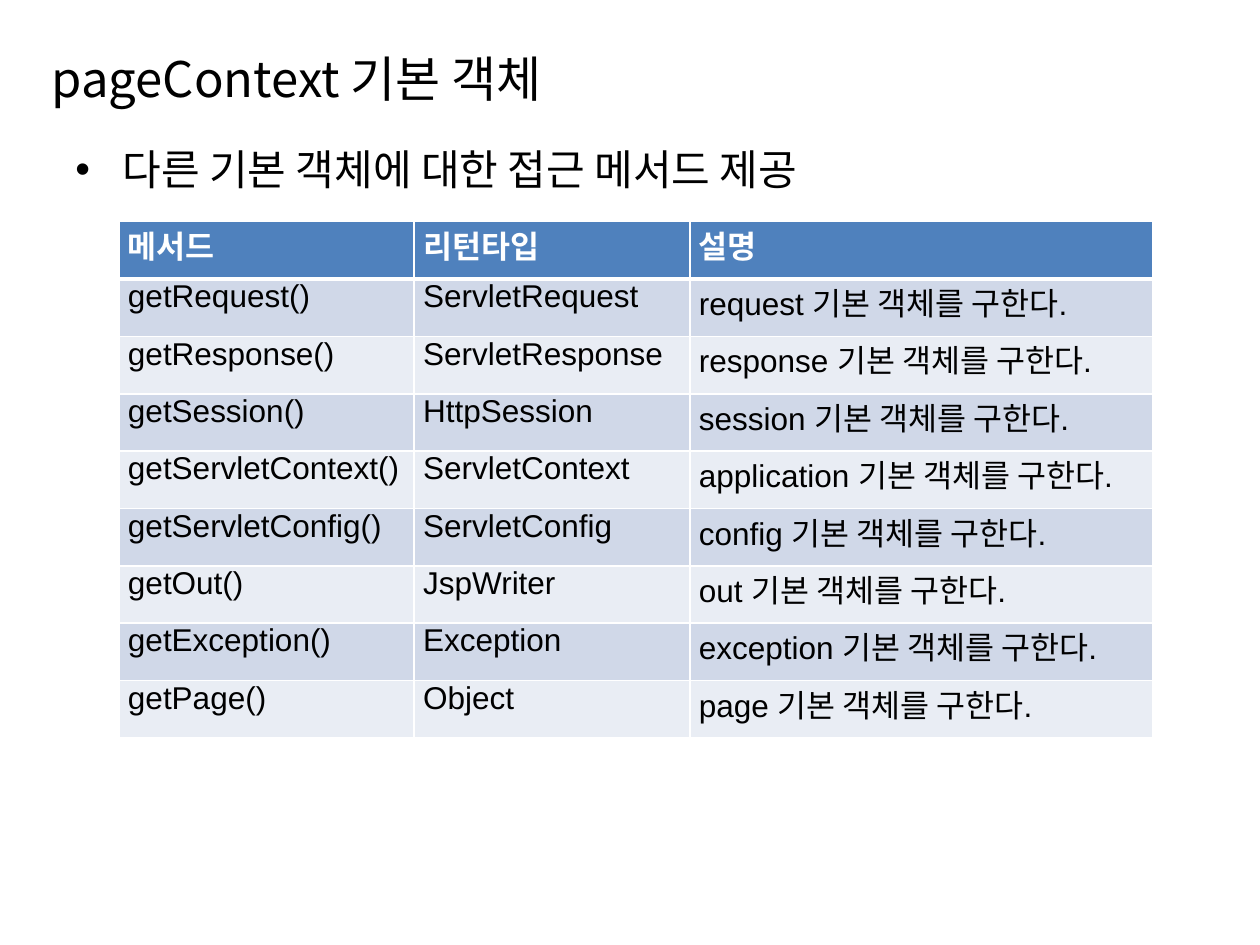
import pptx
import pptx.dml.color
import pptx.enum.text
import pptx.oxml
import pptx.oxml.ns
import pptx.util
from lxml import etree

Cm = pptx.util.Cm
Pt = pptx.util.Pt
Align = pptx.enum.text.PP_ALIGN
Anchor = pptx.enum.text.MSO_ANCHOR
qn = pptx.oxml.ns.qn

KOREAN_FONT = "Noto Sans CJK KR"
HEADER_FILL = "4F81BD"
BAND_FILLS = ("D0D8E8", "E9EDF4")
HEADERS = ("메서드", "리턴타입", "설명")
METHODS = (
    ("getRequest()", "ServletRequest", "request"),
    ("getResponse()", "ServletResponse", "response"),
    ("getSession()", "HttpSession", "session"),
    ("getServletContext()", "ServletContext", "application"),
    ("getServletConfig()", "ServletConfig", "config"),
    ("getOut()", "JspWriter", "out"),
    ("getException()", "Exception", "exception"),
    ("getPage()", "Object", "page"),
)


def color(value):
    return pptx.dml.color.RGBColor.from_string(value)


def write(frame, text, size=18, font=KOREAN_FONT, fill="000000", bold=False,
          align=Align.LEFT):
    paragraph = frame.paragraphs[0]
    paragraph.alignment = align
    run = paragraph.add_run()
    run.text = text
    run.font.name = font
    run.font.size = Pt(size)
    run.font.bold = bold
    run.font.color.rgb = color(fill)
    east_asian = etree.Element(qn("a:ea"), typeface=KOREAN_FONT)
    run.font._element.find(qn("a:latin")).addnext(east_asian)
    return paragraph


def set_bullet(paragraph, indent):
    properties = paragraph._p.get_or_add_pPr()
    properties.set("marL", str(indent))
    properties.set("indent", str(-indent))
    etree.SubElement(properties, qn("a:buFont"), typeface="Arial")
    etree.SubElement(properties, qn("a:buChar"), char="•")


def set_borders(cell, bottom_width):
    properties = cell._tc.get_or_add_tcPr()
    widths = {"lnL": 1, "lnR": 1, "lnT": 1, "lnB": bottom_width}
    for position, (tag, width) in enumerate(widths.items()):
        line = etree.Element(qn("a:" + tag), w=str(Pt(width)))
        solid = etree.SubElement(line, qn("a:solidFill"))
        etree.SubElement(solid, qn("a:srgbClr"), val="FFFFFF")
        properties.insert(position, line)


def place_title(slide, left, top, width, height):
    title = slide.shapes.title
    title.left, title.top, title.width, title.height = left, top, width, height
    title.text_frame.vertical_anchor = Anchor.MIDDLE
    write(title.text_frame, "pageContext 기본 객체", size=28)


def place_summary(slide, left, top, width, height):
    frame = slide.shapes.add_textbox(left, top, width, height).text_frame
    frame.word_wrap = True
    paragraph = write(frame, "다른 기본 객체에 대한 접근 메서드 제공", size=24)
    paragraph.space_before = Pt(5)
    set_bullet(paragraph, Cm(0.95))


def fill_cell(cell, text, background, header):
    cell.margin_left = cell.margin_right = Cm(0.18)
    cell.margin_top = cell.margin_bottom = 0
    set_borders(cell, bottom_width=3 if header else 1)
    cell.fill.solid()
    cell.fill.fore_color.rgb = color(background)
    write(cell.text_frame, text, font="Arial", bold=header,
          fill="FFFFFF" if header else "000000", align=Align.JUSTIFY)


def place_method_table(slide, left, top, width, height):
    rows = [HEADERS]
    rows += [(method, returned, f"{name} 기본 객체를 구한다.")
             for method, returned, name in METHODS]
    table = slide.shapes.add_table(
        len(rows), len(HEADERS), left, top, width, height).table
    first, second = Cm(5.95), Cm(5.56)
    for column, column_width in zip(table.columns,
                                    (first, second, width - first - second)):
        column.width = column_width
    for row_index, texts in enumerate(rows):
        header = row_index == 0
        background = HEADER_FILL if header else BAND_FILLS[(row_index - 1) % 2]
        for column_index, text in enumerate(texts):
            fill_cell(table.cell(row_index, column_index), text, background, header)


def main():
    presentation = pptx.Presentation()
    presentation.slide_width = Cm(25.4)
    presentation.slide_height = Cm(19.05)
    title_only = presentation.slide_layouts[5]
    slide = presentation.slides.add_slide(title_only)
    place_title(slide, Cm(0.79), Cm(0.76), Cm(24), Cm(1.63))
    place_summary(slide, Cm(1.27), Cm(2.77), Cm(22.86), Cm(14.25))
    place_method_table(slide, Cm(2.4), Cm(4.47), Cm(20.83), Cm(10.41))
    presentation.save("out.pptx")


if __name__ == "__main__":
    main()
